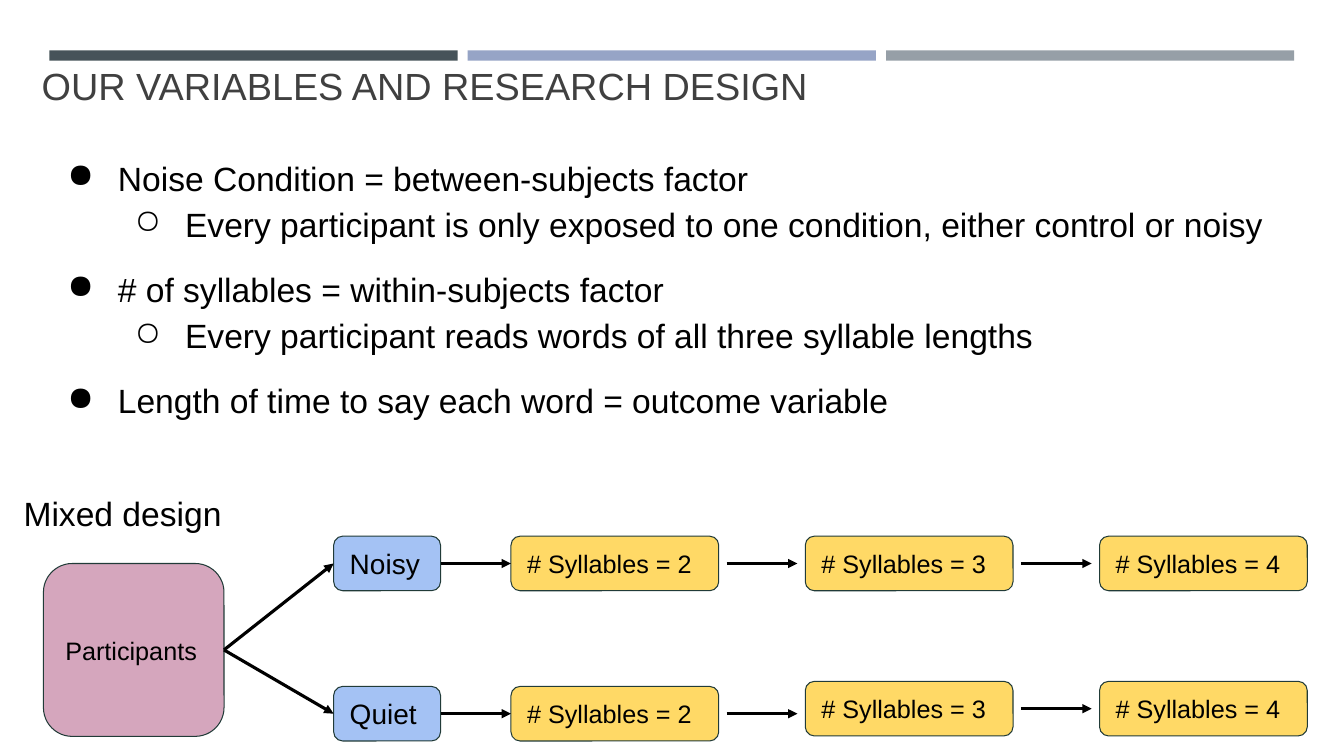
import pptx
import pptx.util
import pptx.dml.color
import pptx.enum.shapes
import pptx.enum.text
import pptx.oxml.ns
from lxml import etree

Pt = pptx.util.Pt
RGB = pptx.dml.color.RGBColor
qn = pptx.oxml.ns.qn
KIND = pptx.enum.shapes.MSO_SHAPE
ANCHOR = pptx.enum.text.MSO_ANCHOR
LEFT = pptx.enum.text.PP_ALIGN.LEFT

BLACK = RGB(0, 0, 0)
GREY = RGB(0x40, 0x40, 0x40)
EDGE = RGB(0x21, 0x3B, 0x38)
PINK = RGB(0xD5, 0xA6, 0xBD)
BLUE = RGB(0xA4, 0xC2, 0xF4)
GOLD = RGB(0xFF, 0xD9, 0x66)
BARS = [RGB(0x46, 0x53, 0x59), RGB(0x96, 0xA4, 0xC6), RGB(0x96, 0x9F, 0xA7)]

TITLE = "OUR VARIABLES AND RESEARCH DESIGN"
POINTS = [
    (0, 0, "Noise Condition = between-subjects factor"),
    (1, 0, "Every participant is only exposed to one condition, either control or noisy"),
    (0, 13.3, "# of syllables = within-subjects factor"),
    (1, 0, "Every participant reads words of all three syllable lengths"),
    (0, 13.3, "Length of time to say each word = outcome variable"),
]
LABEL = "Mixed design"
GROUP = "Participants"
ROWS = [
    ("Noisy", 383, [383, 383, 383]),
    ("Quiet", 490.3, [490.3, 486.7, 486.7]),
]
COUNTS = [2, 3, 4]

BAR_X, BAR_W, BAR_STEP = 35.3, 291.6, 298.8
ARM_X, ARM_W = 238.3, 76.4
SYL_X, SYL_W, SYL_STEP = 365, 148.4, 210.2
BOX_H = 39
GAP = 5.6


def write(shape, lines, size=24, color=BLACK, anchor=ANCHOR.TOP, space=None, bullet=False):
    frame = shape.text_frame
    frame.word_wrap = True
    frame.auto_size = pptx.enum.text.MSO_AUTO_SIZE.NONE
    frame.vertical_anchor = anchor
    frame.margin_left = frame.margin_right = Pt(9.6)
    frame.margin_top = frame.margin_bottom = Pt(9.6)
    for i, (level, before, text) in enumerate(lines):
        para = frame.add_paragraph() if i else frame.paragraphs[0]
        para.alignment = LEFT
        para.level = level
        para.space_before = Pt(before)
        if space:
            para.line_spacing = space
        run = para.add_run()
        run.text = text
        run.font.name = "Arial"
        run.font.size = Pt(size)
        run.font.color.rgb = color
        if bullet:
            props = para._p.get_or_add_pPr()
            props.set("marL", str(Pt(48 * (level + 1))))
            props.set("indent", str(Pt(-36)))
            etree.SubElement(props, qn("a:buChar")).set("char", "●○"[level])


def place(shapes, x, y, w, h, fill, kind=KIND.ROUNDED_RECTANGLE):
    shape = shapes.add_shape(kind, Pt(x), Pt(y), Pt(w), Pt(h))
    shape.shadow.inherit = False
    shape.fill.solid()
    shape.fill.fore_color.rgb = fill
    shape.line.fill.background()
    return shape


def node(shapes, x, y, w, h, fill, text, size):
    shape = place(shapes, x, y, w, h, fill)
    shape.line.color.rgb = EDGE
    shape.line.width = Pt(0.75)
    write(shape, [(0, 0, text)], size=size, anchor=ANCHOR.MIDDLE)
    return shape


def arrow(shapes, start, end, gap=0, level=False):
    x1 = start.left + start.width + Pt(gap)
    y1 = start.top + start.height // 2
    x2 = end.left - Pt(gap)
    y2 = y1 if level else end.top + end.height // 2
    line = shapes.add_connector(pptx.enum.shapes.MSO_CONNECTOR.STRAIGHT, x1, y1, x2, y2)
    if not gap:
        line.begin_connect(start, 3)
        line.end_connect(end, 1)
    line.line.color.rgb = BLACK
    line.line.width = Pt(2.25)
    props = line._element.spPr
    etree.SubElement(props.find(qn("a:ln")), qn("a:tailEnd")).set("type", "triangle")
    etree.SubElement(props, qn("a:effectLst"))


def main():
    deck = pptx.Presentation()
    deck.slide_width, deck.slide_height = Pt(960), Pt(540)
    slide = deck.slides.add_slide(deck.slide_layouts[5])
    shapes = slide.shapes

    for i, color in enumerate(BARS):
        place(shapes, BAR_X + i * BAR_STEP, 36, BAR_W, 7.4, color, KIND.RECTANGLE)

    title = shapes.title
    title.left, title.top, title.width, title.height = Pt(20.2), Pt(38.9), Pt(894), Pt(60.5)
    write(title, [(0, 0, TITLE)], size=27, color=GREY, space=0.9)

    body = shapes.add_textbox(Pt(26.6), Pt(98.6), Pt(907), Pt(373.7))
    write(body, POINTS, space=1.15, bullet=True)
    label = shapes.add_textbox(Pt(7.2), Pt(342.7), Pt(176.4), Pt(59.8))
    write(label, [(0, 0, LABEL)])

    group = node(shapes, 31, 402.5, 129, 123.5, PINK, GROUP, 18)
    for name, top, tops in ROWS:
        arm = node(shapes, ARM_X, top, ARM_W, BOX_H, BLUE, name, 20)
        arrow(shapes, group, arm)
        last = arm
        for i, (count, y) in enumerate(zip(COUNTS, tops)):
            box = node(shapes, SYL_X + i * SYL_STEP, y, SYL_W, BOX_H, GOLD,
                       f"# Syllables = {count}", 18)
            arrow(shapes, last, box, gap=GAP if i else 0, level=i > 0)
            last = box

    deck.save("out.pptx")


if __name__ == "__main__":
    main()
